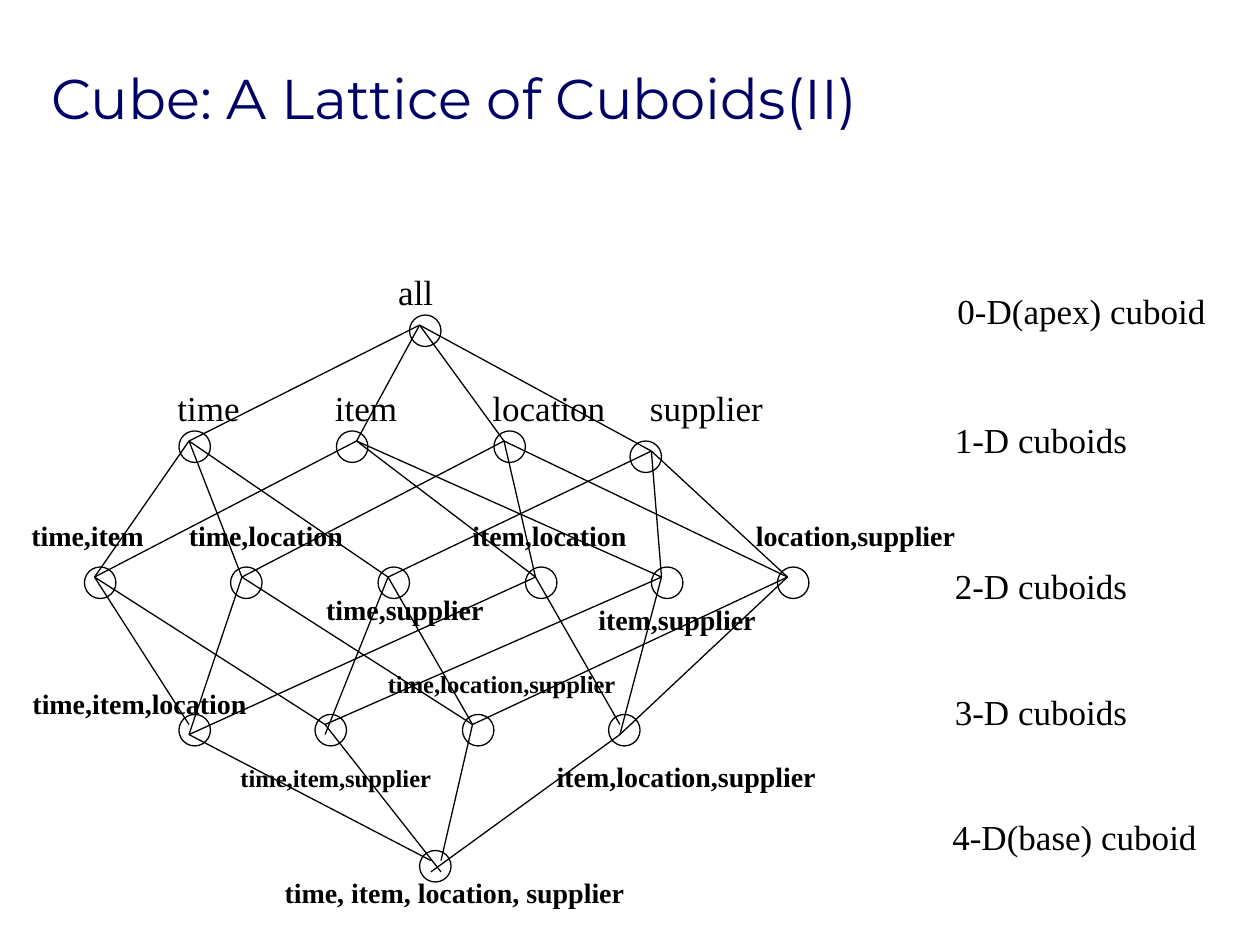
from lxml import etree
from pptx import Presentation
from pptx.dml.color import RGBColor
from pptx.enum.shapes import MSO_CONNECTOR as CONN, MSO_SHAPE as SHAPE
from pptx.enum.text import MSO_ANCHOR as ANCHOR, MSO_AUTO_SIZE as AUTO, PP_ALIGN as ALIGN
from pptx.oxml.ns import qn
from pptx.util import Inches, Pt

BLACK = RGBColor(0, 0, 0)
WHITE = RGBColor(255, 255, 255)
NAVY = RGBColor(0, 0, 0x66)

LEVEL = dict(name="Times New Roman", size=Pt(20), bold=False)
CUBOID = dict(name="Times New Roman", size=Pt(16), bold=True)
SMALL = dict(name="Times New Roman", size=Pt(14), bold=True)
TITLE = dict(name="Montserrat", size=Pt(32), bold=False)

NODE_SIZE = 0.25
LINE_WIDTH = Pt(0.75)
NODE_ROWS = [
    (2.5, [3.25]),
    (3.42, [1.42, 2.67, 3.92]),
    (3.5, [5]),
    (4.5, [0.67, 1.83, 3, 4.17, 5.17, 6.17]),
    (5.67, [1.42, 2.5, 3.67, 4.83]),
    (6.75, [3.33]),
]

APEX = (3.33, 2.58)
TIME, ITEM, LOCATION, SUPPLIER = (1.5, 3.5), (2.83, 3.5), (4, 3.5), (5.17, 3.58)
TI, TL, TS, IL, IS, LS = [(x, 4.58) for x in (0.75, 1.92, 3.08, 4.25, 5.25, 6.25)]
TRIPLE_X = (1.5, 2.58, 3.75, 4.92)
TIL, TIS, TLS, ILS = [(x, 5.75) for x in TRIPLE_X]
TIL_LOW, TIS_LOW, _, ILS_LOW = [(x, 5.83) for x in TRIPLE_X]
FANS = [
    (APEX, [TIME, ITEM, LOCATION, SUPPLIER]),
    (TIME, [TI, TL, TS]),
    (ITEM, [TI, IL, IS]),
    (LOCATION, [IL, LS, TL]),
    (SUPPLIER, [TS, IS, LS]),
    (TI, [TIL, TIS]),
    (TL, [TIL_LOW, TLS]),
    (TS, [TIS_LOW, TLS]),
    (IL, [TIL_LOW, ILS]),
    (IS, [TIS, ILS_LOW]),
    (LS, [ILS_LOW, TLS]),
    (TIL_LOW, [(3.42, 6.83)]),
    (TIS, [(3.5, 6.92)]),
    (TLS, [(3.5, 6.83)]),
    (ILS_LOW, [(3.42, 6.92)]),
]

DIMENSION_LABELS = [
    ("time", 1.31, 3.02, 0.72),
    ("item", 2.56, 3.02, 0.72),
    ("location", 3.81, 3.02, 1.12),
    ("supplier", 5.06, 3.02, 1.12),
]
CUBOID_LABELS = [
    ("time,item", 0.15, 4.07, 1.12),
    ("time,location", 1.4, 4.07, 1.45),
    ("time,supplier", 2.49, 4.65, 1.48),
    ("item,location", 3.65, 4.07, 1.45),
    ("item,supplier", 4.65, 4.73, 1.48),
    ("location,supplier", 5.9, 4.07, 1.81),
    ("time,item,location", 0.16, 5.4, 1.93),
    ("item,location,supplier", 4.32, 5.98, 2.28),
    ("time, item, location, supplier", 2.16, 6.9, 2.92),
]
SMALL_LABELS = [
    ("time,item,supplier", 1.81, 6.01, 1.74),
    ("time,location,supplier", 2.98, 5.26, 2.04),
]
LEVEL_LABELS = [
    ("0-D(apex) cuboid", 7.5, 2.25, 2.2),
    ("1-D cuboids", 7.48, 3.27, 1.6),
    ("2-D cuboids", 7.48, 4.43, 1.6),
    ("3-D cuboids", 7.48, 5.43, 1.6),
    ("4-D(base) cuboid", 7.46, 6.42, 2.17),
]


def add_text(s, text, x, y, w, h, fmt, color=BLACK, align=ALIGN.LEFT):
    sp = s.shapes.add_textbox(Inches(x), Inches(y), Inches(w), Inches(h))
    tf = sp.text_frame
    p = tf.paragraphs[0]
    p.alignment = align
    r = p.add_run()
    r.text = text
    for key, value in fmt.items():
        setattr(r.font, key, value)
    r.font.color.rgb = color
    return tf


def add_title(s, text):
    tf = add_text(s, text, 0.31, 0.42, 8.47, 0.67, TITLE, NAVY)
    tf.word_wrap = True
    tf.vertical_anchor = ANCHOR.BOTTOM


def add_label(s, text, x, y, w, fmt, align=ALIGN.LEFT):
    height = {20: 0.44, 16: 0.37, 14: 0.34}[fmt["size"].pt]
    tf = add_text(s, text, x, y, w, height, fmt, align=align)
    tf.word_wrap = False
    tf.auto_size = AUTO.NONE


def add_labels(s, labels, fmt):
    for label in labels:
        add_label(s, *label, fmt)


def add_node(s, x, y):
    size = Inches(NODE_SIZE)
    sp = s.shapes.add_shape(SHAPE.FLOWCHART_CONNECTOR, Inches(x), Inches(y), size, size)
    sp.shadow.inherit = False
    sp.fill.solid()
    sp.fill.fore_color.rgb = WHITE
    sp.line.color.rgb = BLACK
    sp.line.width = LINE_WIDTH


def add_edge(s, start, end):
    ends = [Inches(v) for v in (*start, *end)]
    edge = s.shapes.add_connector(CONN.STRAIGHT, *ends)
    edge.line.color.rgb = BLACK
    edge.line.width = LINE_WIDTH
    etree.SubElement(edge._element.spPr, qn("a:effectLst"))


def main():
    prs = Presentation()
    prs.slide_width, prs.slide_height = Inches(10), Inches(7.5)
    s = prs.slides.add_slide(prs.slide_layouts[6])
    add_title(s, "Cube: A Lattice of Cuboids(II)")
    for y, row in NODE_ROWS:
        for x in row:
            add_node(s, x, y)
    add_label(s, "all", 3.05, 2.1, 0.5, LEVEL, ALIGN.CENTER)
    add_labels(s, DIMENSION_LABELS, LEVEL)
    for start, ends in FANS:
        for end in ends:
            add_edge(s, start, end)
    add_labels(s, CUBOID_LABELS, CUBOID)
    add_labels(s, SMALL_LABELS, SMALL)
    add_labels(s, LEVEL_LABELS, LEVEL)
    prs.save("out.pptx")


if __name__ == "__main__":
    main()
